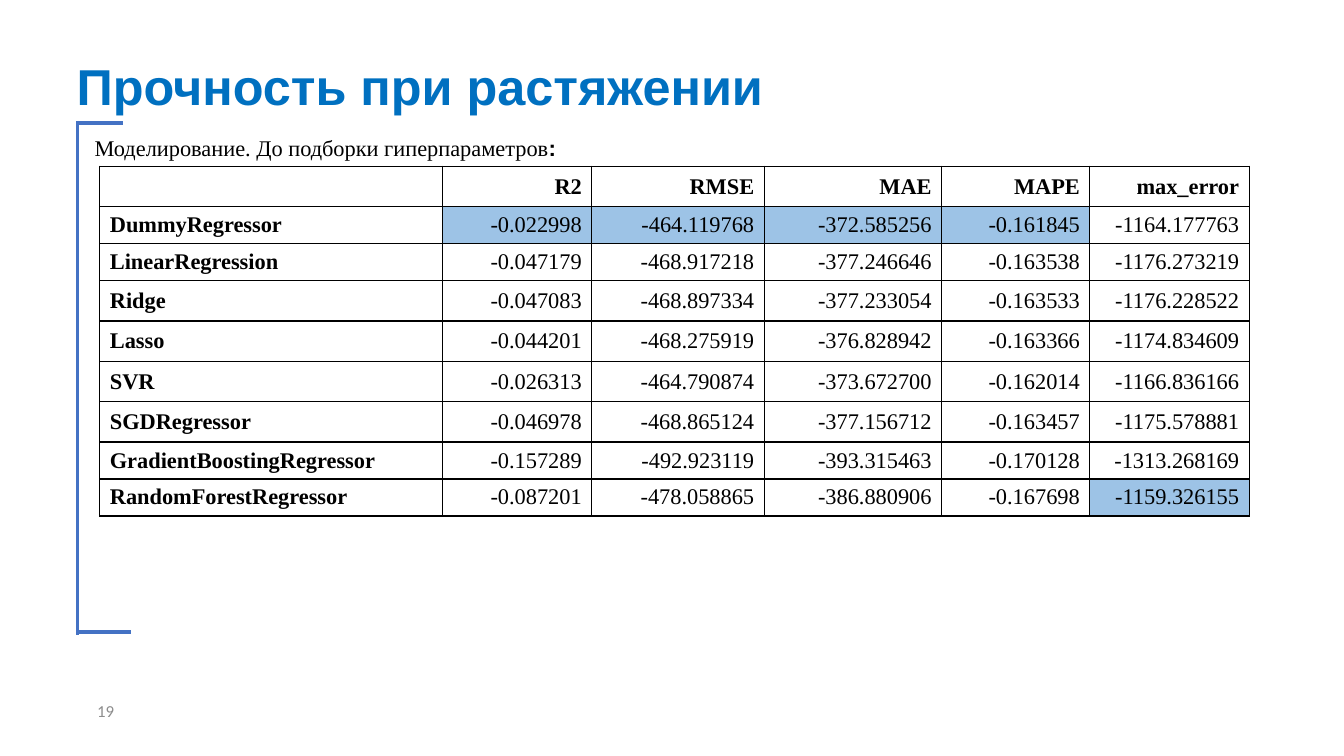
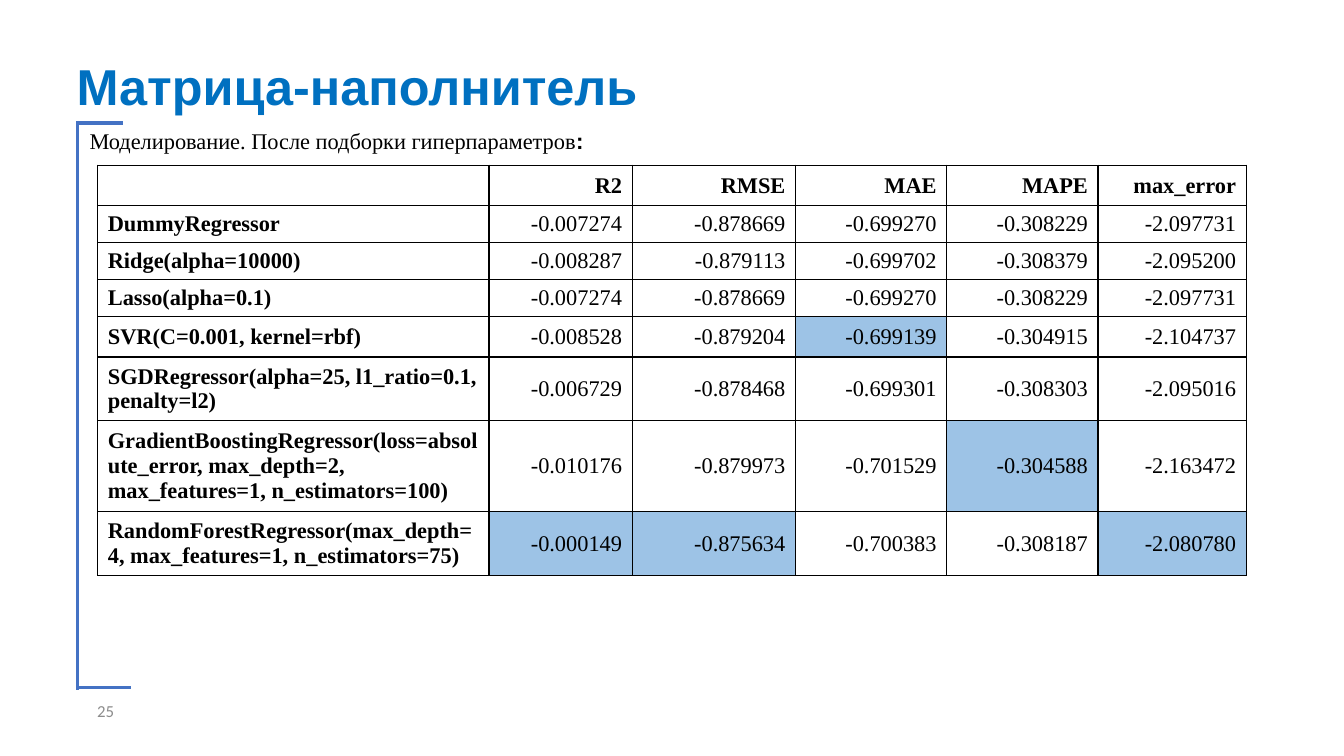
from dataclasses import dataclass

from lxml.etree import SubElement
from pptx import Presentation
from pptx.dml.color import RGBColor
from pptx.enum.shapes import MSO_CONNECTOR
from pptx.enum.text import MSO_ANCHOR, PP_ALIGN
from pptx.oxml.ns import qn
from pptx.util import Inches, Pt


@dataclass(frozen=True)
class Theme:
    title: str = "0070C0"
    frame: str = "4472C4"
    ink: str = "000000"
    paper: str = "FFFFFF"
    best: str = "9DC3E6"
    muted: str = "8C8C8C"
    sans: str = "Arial"
    serif: str = "Times New Roman"
    small: str = "Calibri"
    head_size: int = 36
    body_size: int = 16
    page_size: int = 12
    frame_line: float = 2.25
    grid_line: float = 1


HEADS = ("", "R2", "RMSE", "MAE", "MAPE", "max_error")

TENSILE = [
    ("DummyRegressor", -0.022998, -464.119768, -372.585256, -0.161845, -1164.177763),
    ("LinearRegression", -0.047179, -468.917218, -377.246646, -0.163538, -1176.273219),
    ("Ridge", -0.047083, -468.897334, -377.233054, -0.163533, -1176.228522),
    ("Lasso", -0.044201, -468.275919, -376.828942, -0.163366, -1174.834609),
    ("SVR", -0.026313, -464.790874, -373.672700, -0.162014, -1166.836166),
    ("SGDRegressor", -0.046978, -468.865124, -377.156712, -0.163457, -1175.578881),
    ("GradientBoostingRegressor", -0.157289, -492.923119, -393.315463, -0.170128, -1313.268169),
    ("RandomForestRegressor", -0.087201, -478.058865, -386.880906, -0.167698, -1159.326155),
]

FILLER = [
    ("DummyRegressor", -0.007274, -0.878669, -0.699270, -0.308229, -2.097731),
    ("Ridge(alpha=10000)", -0.008287, -0.879113, -0.699702, -0.308379, -2.095200),
    ("Lasso(alpha=0.1)", -0.007274, -0.878669, -0.699270, -0.308229, -2.097731),
    ("SVR(C=0.001, kernel=rbf)", -0.008528, -0.879204, -0.699139, -0.304915, -2.104737),
    ("SGDRegressor(alpha=25, l1_ratio=0.1, penalty=l2)",
     -0.006729, -0.878468, -0.699301, -0.308303, -2.095016),
    ("GradientBoostingRegressor(loss=absolute_error, max_depth=2, "
     "max_features=1, n_estimators=100)",
     -0.010176, -0.879973, -0.701529, -0.304588, -2.163472),
    ("RandomForestRegressor(max_depth=4, max_features=1, n_estimators=75)",
     -0.000149, -0.875634, -0.700383, -0.308187, -2.080780),
]


class Deck:
    def __init__(self, theme):
        self.theme = theme
        self.file = Presentation()
        self.file.slide_width = Inches(13.33)
        self.file.slide_height = Inches(7.5)
        self.slide = None

    def start(self, title, page, bottom):
        """Add a slide with its title, page number and frame."""
        look = self.theme
        self.slide = self.file.slides.add_slide(self.file.slide_layouts[6])
        para = self.box(0.57, 6.85, 0.66, 0.4, MSO_ANCHOR.MIDDLE, (0.1, 0.05))
        para.alignment = PP_ALIGN.RIGHT
        self.run(para, str(page), look.small, look.page_size, look.muted)
        para = self.box(0.68, 0.52, 8.63, 0.68, MSO_ANCHOR.BOTTOM)
        para.line_spacing = 0.9
        self.run(para, title, look.sans, look.head_size, look.title, True)
        self.frame(bottom)

    def box(self, left, top, width, height, anchor=MSO_ANCHOR.TOP, pad=(0.08, 0.04)):
        """Add a text box and return its first paragraph."""
        shape = self.slide.shapes.add_textbox(
            Inches(left), Inches(top), Inches(width), Inches(height))
        text = shape.text_frame
        text.word_wrap = True
        text.vertical_anchor = anchor
        text.margin_left = text.margin_right = Inches(pad[0])
        text.margin_top = text.margin_bottom = Inches(pad[1])
        return text.paragraphs[0]

    def run(self, para, text, face, size, color, bold=False):
        part = para.add_run()
        part.text = text
        part.font.name = face
        part.font.size = Pt(size)
        part.font.bold = bold
        part.font.color.rgb = RGBColor.from_string(color)

    def frame(self, bottom):
        """Draw the open bracket on the left, down to bottom."""
        group = self.slide.shapes.add_group_shape()
        low = bottom - 0.03
        for ends in ((0.77, 1.2, 0.77, bottom),
                     (0.77, 1.22, 1.22, 1.22),
                     (0.77, low, 1.3, low)):
            line = group.shapes.add_connector(
                MSO_CONNECTOR.STRAIGHT, *(Inches(end) for end in ends))
            line.line.color.rgb = RGBColor.from_string(self.theme.frame)
            line.line.width = Pt(self.theme.frame_line)
            SubElement(line._element.spPr, qn("a:effectLst"))

    def lead(self, left, top, text):
        look = self.theme
        para = self.box(left, top, 8.46, 4.05)
        para.line_spacing = 0.9
        self.run(para, text, look.serif, look.body_size, look.ink)
        self.run(para, ":", look.sans, look.body_size, look.ink, True)

    def table(self, left, top, widths, heights, rows):
        """Add a score table that marks the highest value of each column."""
        look = self.theme
        grid = self.slide.shapes.add_table(
            len(heights), len(widths), Inches(left), Inches(top),
            Inches(sum(widths)), Inches(sum(heights))).table
        grid.first_row = grid.horz_banding = False
        for col, width in zip(grid.columns, widths):
            col.width = Inches(width)
        for row, height in zip(grid.rows, heights):
            row.height = Inches(height)
        tops = [max(vals) for vals in list(zip(*rows))[1:]]
        for c, head in enumerate(HEADS):
            self.cell(grid.cell(0, c), head, c > 0, True, look.paper)
        for r, (name, *vals) in enumerate(rows, 1):
            self.cell(grid.cell(r, 0), name, False, True, look.paper)
            for c, (val, top_val) in enumerate(zip(vals, tops), 1):
                fill = look.best if val == top_val else look.paper
                self.cell(grid.cell(r, c), f"{val:.6f}", True, False, fill)

    def cell(self, cell, text, right, bold, fill):
        look = self.theme
        cell.vertical_anchor = MSO_ANCHOR.MIDDLE
        para = cell.text_frame.paragraphs[0]
        para.alignment = PP_ALIGN.RIGHT if right else PP_ALIGN.LEFT
        self.run(para, text, look.serif, look.body_size, look.ink, bold)
        props = cell._tc.get_or_add_tcPr()
        for side in ("lnL", "lnR", "lnT", "lnB"):
            edge = SubElement(props, qn(f"a:{side}"), w=str(Pt(look.grid_line)))
            paint = SubElement(edge, qn("a:solidFill"))
            SubElement(paint, qn("a:srgbClr"), val=look.ink)
        cell.fill.solid()
        cell.fill.fore_color.rgb = RGBColor.from_string(fill)


def main():
    deck = Deck(Theme())

    deck.start("Прочность при растяжении", 19, 6.3)
    deck.lead(0.86, 1.32, "Моделирование. До подборки гиперпараметров")
    deck.table(0.99, 1.65, (3.4, 1.48, 1.71, 1.76, 1.47, 1.58),
               (0.4, 0.35, 0.35, 0.4, 0.4, 0.4, 0.4, 0.35, 0.35), TENSILE)

    deck.start("Матрица-наполнитель", 25, 6.85)
    deck.lead(0.81, 1.25, "Моделирование. После подборки гиперпараметров")
    deck.table(0.97, 1.64, (3.88, 1.42, 1.62, 1.5, 1.5, 1.47),
               (0.4, 0.35, 0.35, 0.35, 0.4, 0.6, 0.84, 0.6), FILLER)

    deck.file.save("out.pptx")


if __name__ == "__main__":
    main()
